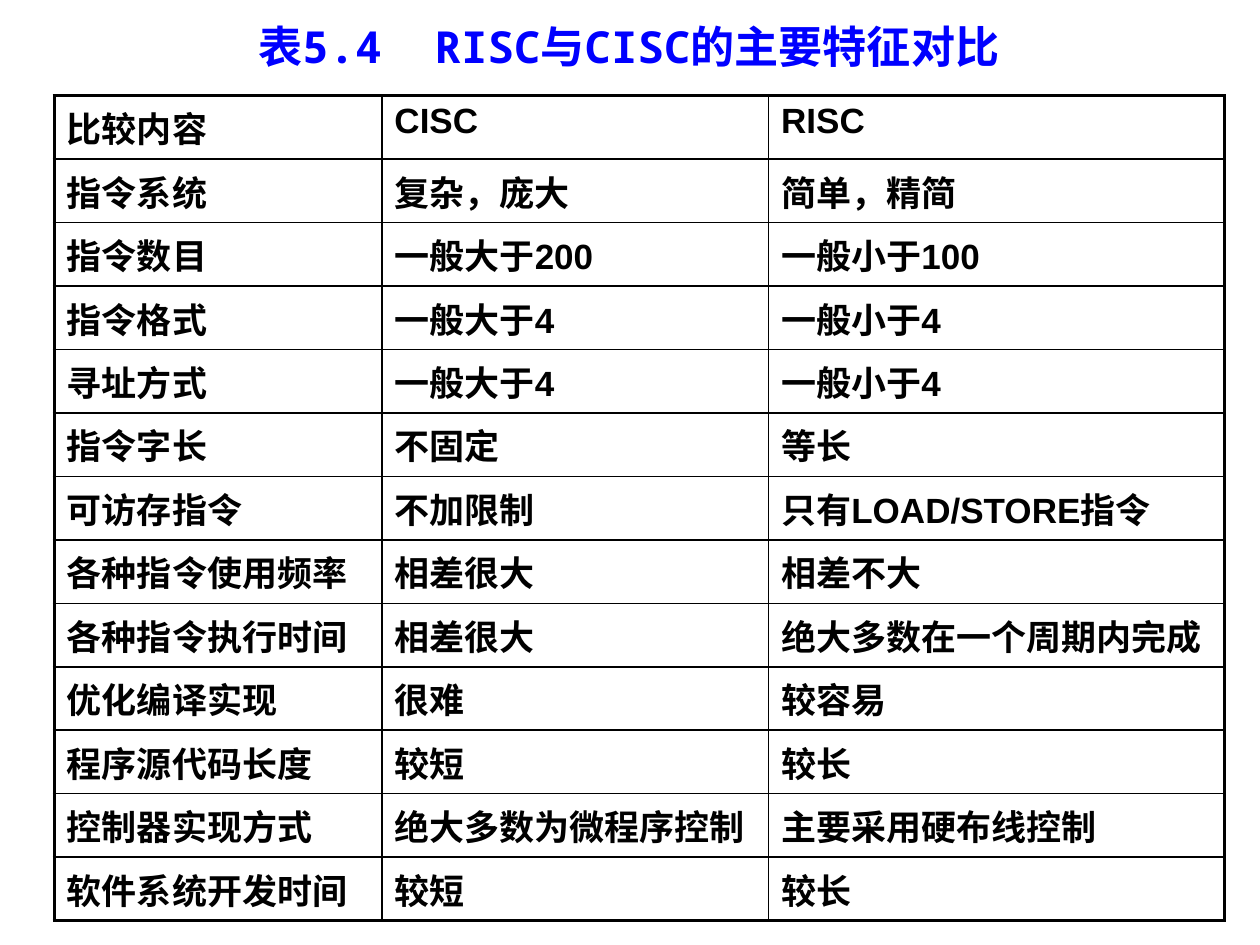
from dataclasses import dataclass

from lxml import etree
from pptx import Presentation
from pptx.dml.color import RGBColor
from pptx.enum.lang import MSO_LANGUAGE_ID
from pptx.enum.text import MSO_ANCHOR, MSO_AUTO_SIZE, PP_ALIGN
from pptx.oxml.ns import qn
from pptx.util import Pt

CENTER, JUSTIFY = PP_ALIGN.CENTER, PP_ALIGN.JUSTIFY
MIDDLE = MSO_ANCHOR.MIDDLE
NO_AUTOFIT = MSO_AUTO_SIZE.NONE
CHINESE = MSO_LANGUAGE_ID.SIMPLIFIED_CHINESE

HEADING = "表5.4  RISC与CISC的主要特征对比"
COMPARISON = [
    ("比较内容", "CISC", "RISC"),
    ("指令系统", "复杂，庞大", "简单，精简"),
    ("指令数目", "一般大于200", "一般小于100"),
    ("指令格式", "一般大于4", "一般小于4"),
    ("寻址方式", "一般大于4", "一般小于4"),
    ("指令字长", "不固定", "等长"),
    ("可访存指令", "不加限制", "只有LOAD/STORE指令"),
    ("各种指令使用频率", "相差很大", "相差不大"),
    ("各种指令执行时间", "相差很大", "绝大多数在一个周期内完成"),
    ("优化编译实现", "很难", "较容易"),
    ("程序源代码长度", "较短", "较长"),
    ("控制器实现方式", "绝大多数为微程序控制", "主要采用硬布线控制"),
    ("软件系统开发时间", "较短", "较长"),
]


@dataclass(frozen=True)
class Theme:
    heading_font: str = "Noto Sans Mono"
    heading_size: float = 25.2
    heading_color: str = "0000FF"
    cell_font: str = "Arial"
    cell_size: float = 20
    ink: str = "000000"
    outer_line: float = 2.25
    inner_line: float = 1


THEME = Theme()
SLIDE_SIZE = (720, 540)
HEADING_BOX = (35.3, 3.6, 648, 45.4)
TABLE_LEFT, TABLE_TOP = 31, 54.7
COLUMN_WIDTHS = (187.2, 221, 260.7)
ROW_HEIGHT = 36


def add_text(paragraph, text, font_name, size, color, alignment):
    paragraph.alignment = alignment
    run = paragraph.add_run()
    run.text = text
    font = run.font
    font.name, font.size, font.bold = font_name, Pt(size), True
    font.color.rgb = RGBColor.from_string(color)
    font.language_id = CHINESE


def set_borders(cell, outer_sides):
    """Draw all four borders, heavier on the sides at the table's rim."""
    properties = cell._tc.get_or_add_tcPr()
    for index, (side, is_outer) in enumerate(outer_sides.items()):
        width = THEME.outer_line if is_outer else THEME.inner_line
        border = etree.Element(qn(f"a:ln{side}"), w=str(Pt(width)))
        fill = etree.SubElement(border, qn("a:solidFill"))
        etree.SubElement(fill, qn("a:srgbClr"), val=THEME.ink)
        properties.insert(index, border)


def add_heading(slide):
    heading = slide.shapes.title
    heading.left, heading.top, heading.width, heading.height = map(Pt, HEADING_BOX)
    frame = heading.text_frame
    frame.auto_size = NO_AUTOFIT
    frame.vertical_anchor = MIDDLE
    add_text(frame.paragraphs[0], HEADING, THEME.heading_font,
             THEME.heading_size, THEME.heading_color, CENTER)


def add_comparison(slide):
    row_count, column_count = len(COMPARISON), len(COLUMN_WIDTHS)
    table = slide.shapes.add_table(
        row_count, column_count, Pt(TABLE_LEFT), Pt(TABLE_TOP),
        Pt(sum(COLUMN_WIDTHS)), Pt(ROW_HEIGHT * row_count)).table
    table.first_row = table.horz_banding = False
    for column, width in zip(table.columns, COLUMN_WIDTHS):
        column.width = Pt(width)
    for r, features in enumerate(COMPARISON):
        table.rows[r].height = Pt(ROW_HEIGHT)
        for c, feature in enumerate(features):
            cell = table.cell(r, c)
            cell.fill.background()
            add_text(cell.text_frame.paragraphs[0], feature, THEME.cell_font,
                     THEME.cell_size, THEME.ink, JUSTIFY)
            set_borders(cell, {"L": c == 0, "R": c == column_count - 1,
                               "T": r == 0, "B": r == row_count - 1})


def main():
    deck = Presentation()
    deck.slide_width, deck.slide_height = map(Pt, SLIDE_SIZE)
    title_only = deck.slide_layouts[5]
    slide = deck.slides.add_slide(title_only)
    add_heading(slide)
    add_comparison(slide)
    deck.save("out.pptx")


if __name__ == "__main__":
    main()
